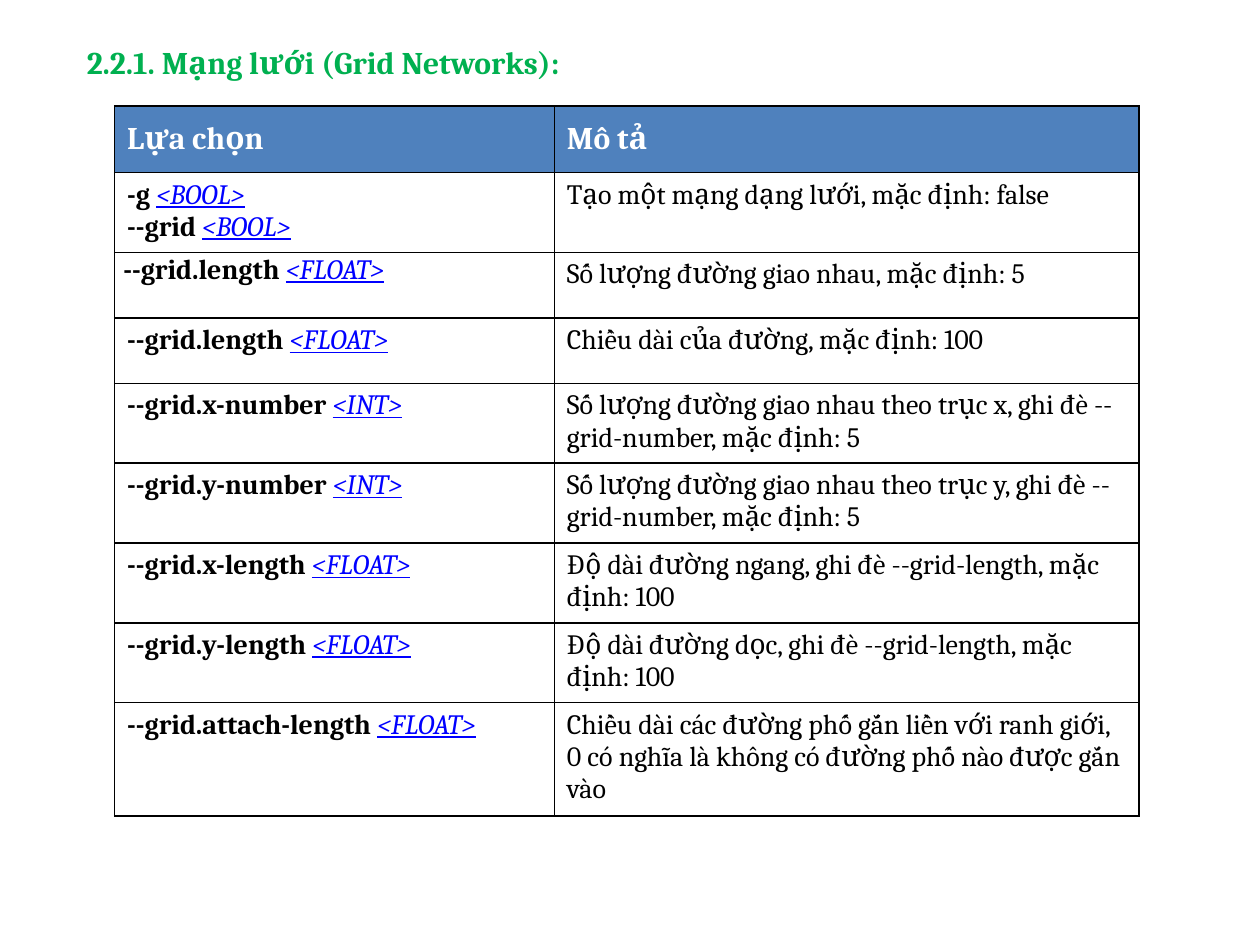
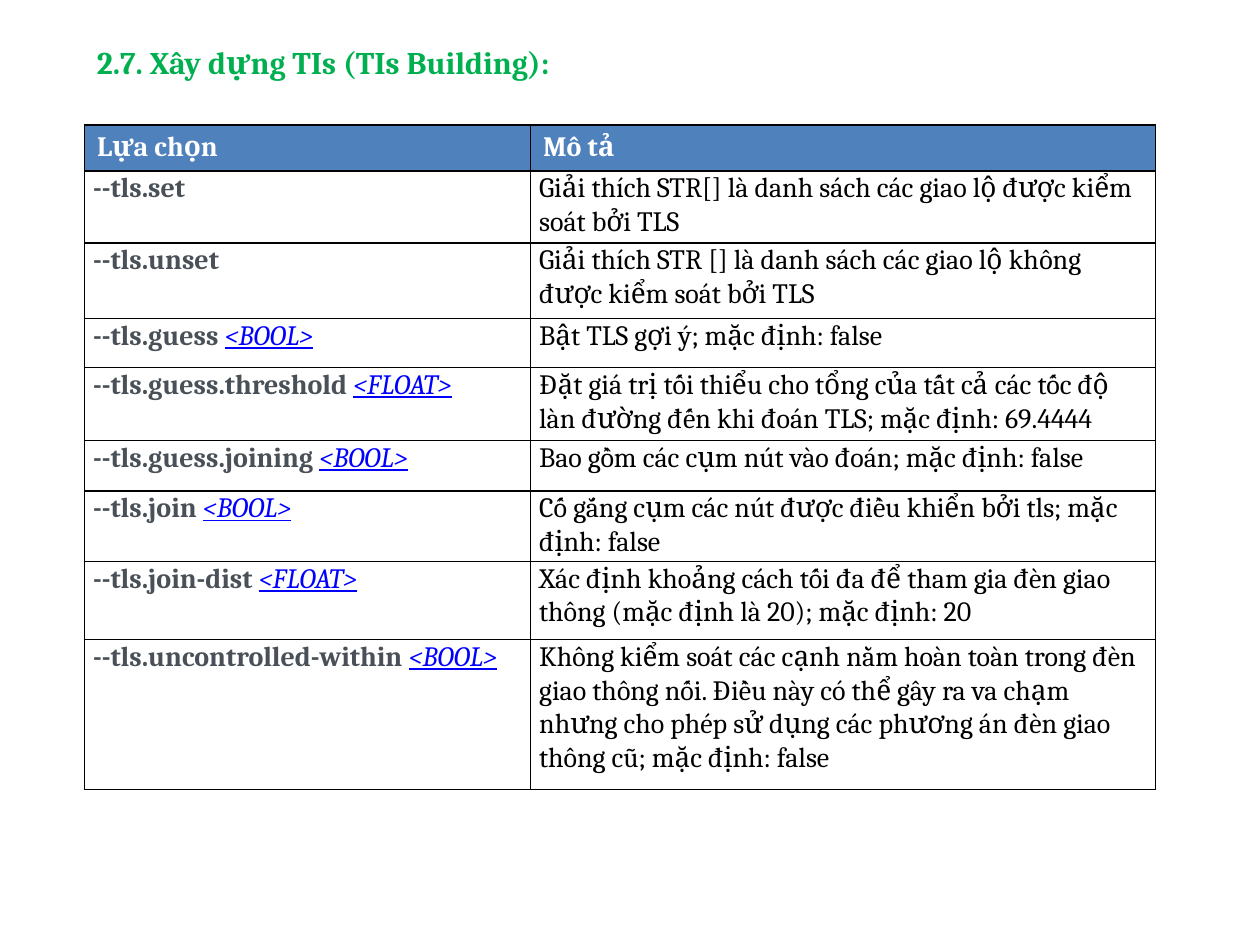
from dataclasses import dataclass

import lxml.etree
import pptx
import pptx.dml.color
import pptx.enum.text
import pptx.oxml.ns
import pptx.util

Inches = pptx.util.Inches
Pt = pptx.util.Pt
RGBColor = pptx.dml.color.RGBColor

GREEN = RGBColor(0x00, 0xB0, 0x50)
HEADER_BLUE = RGBColor(0x4F, 0x81, 0xBD)
LINK_BLUE = RGBColor(0x00, 0x00, 0xFF)
SLATE = RGBColor(0x49, 0x50, 0x57)
BLACK = RGBColor(0x00, 0x00, 0x00)
WHITE = RGBColor(0xFF, 0xFF, 0xFF)

FONT = "Cambria"
HEADINGS = ("Lựa chọn", "Mô tả")
TITLE_FORMAT = {"size": Pt(18), "bold": True}
BODY_FORMAT = {"size": Pt(16), "bold": False}
FLAG_FORMAT = {"size": Pt(16), "bold": True}
LINK_FORMAT = BODY_FORMAT | {"italic": True, "underline": True}
TIGHT_MARGINS = {
    "margin_left": Inches(0.07),
    "margin_top": Inches(0),
    "margin_right": Inches(0.07),
    "margin_bottom": Inches(0),
}
TIGHT_SPACING = {"line_spacing": 1.05, "space_after": Pt(8)}


@dataclass
class Option:
    flags: tuple[str, ...]
    value_type: str
    description: str
    tight_flag: bool = False
    tight_description: bool = False


@dataclass
class OptionSlide:
    title: str
    title_left: float
    title_width: float
    table_left: float
    table_top: float
    column_widths: tuple[float, float]
    row_heights: tuple[float, ...]
    heading_size: int
    heading_anchor: pptx.enum.text.MSO_ANCHOR
    flag_color: RGBColor
    options: list[Option]


def tls_option(flag: str, value_type: str, description: str) -> Option:
    return Option((flag,), value_type, description, True, True)


GRID_OPTIONS = [
    Option(("-g", "--grid"), "<BOOL>", "Tạo một mạng dạng lưới, mặc định: false"),
    Option(("--grid.length",), "<FLOAT>", "Số lượng đường giao nhau, mặc định: 5", tight_flag=True),
    Option(("--grid.length",), "<FLOAT>", "Chiều dài của đường, mặc định: 100"),
    Option(("--grid.x-number",), "<INT>",
           "Số lượng đường giao nhau theo trục x, ghi đè --grid-number, mặc định: 5"),
    Option(("--grid.y-number",), "<INT>",
           "Số lượng đường giao nhau theo trục y, ghi đè --grid-number, mặc định: 5"),
    Option(("--grid.x-length",), "<FLOAT>",
           "Độ dài đường ngang, ghi đè --grid-length, mặc định: 100"),
    Option(("--grid.y-length",), "<FLOAT>",
           "Độ dài đường dọc, ghi đè --grid-length, mặc định: 100"),
    Option(("--grid.attach-length",), "<FLOAT>",
           "Chiều dài các đường phố gắn liền với ranh giới, "
           "0 có nghĩa là không có đường phố nào được gắn vào"),
]

TLS_OPTIONS = [
    tls_option("--tls.set", "",
               "Giải thích STR[] là danh sách các giao lộ được kiểm soát bởi TLS"),
    tls_option("--tls.unset", "",
               "Giải thích STR [] là danh sách các giao lộ không được kiểm soát bởi TLS"),
    tls_option("--tls.guess", "<BOOL>", "Bật TLS gợi ý; mặc định: false"),
    tls_option("--tls.guess.threshold", "<FLOAT>",
               "Đặt giá trị tối thiểu cho tổng của tất cả các tốc độ làn đường "
               "đến khi đoán TLS; mặc định: 69.4444"),
    tls_option("--tls.guess.joining", "<BOOL>",
               "Bao gồm các cụm nút vào đoán; mặc định: false"),
    tls_option("--tls.join", "<BOOL>",
               "Cố gắng cụm các nút được điều khiển bởi tls; mặc định: false"),
    tls_option("--tls.join-dist", "<FLOAT>",
               "Xác định khoảng cách tối đa để tham gia đèn giao thông "
               "(mặc định là 20); mặc định: 20"),
    tls_option("--tls.uncontrolled-within", "<BOOL>",
               "Không kiểm soát các cạnh nằm hoàn toàn trong đèn giao thông nối. "
               "Điều này có thể gây ra va chạm nhưng cho phép sử dụng các "
               "phương án đèn giao thông cũ; mặc định: false"),
]

OPTION_SLIDES = [
    OptionSlide(
        "2.2.1. Mạng lưới (Grid Networks):", 0.59, 4.08, 0.91, 0.84, (3.49, 4.64),
        (0.53,) + (0.52,) * len(GRID_OPTIONS), 18,
        pptx.enum.text.MSO_ANCHOR.MIDDLE, BLACK, GRID_OPTIONS,
    ),
    OptionSlide(
        "2.7. Xây dựng TIs (TIs Building):", 0.67, 3.92, 0.67, 0.99, (3.54, 4.96),
        (0.31, 0.57, 0.6, 0.39, 0.58, 0.4, 0.55, 0.62, 1.19), 16,
        pptx.enum.text.MSO_ANCHOR.TOP, SLATE, TLS_OPTIONS,
    ),
]


def set_attributes(target: object, values: dict) -> None:
    for name, value in values.items():
        setattr(target, name, value)


def add_run(paragraph, text: str, color: RGBColor, font_format: dict) -> None:
    run = paragraph.add_run()
    run.text = text
    set_attributes(run.font, {"name": FONT} | font_format)
    run.font.color.rgb = color


def add_borders(cell) -> None:
    qn = pptx.oxml.ns.qn
    properties = cell._tc.get_or_add_tcPr()
    for index, side in enumerate(("lnL", "lnR", "lnT", "lnB")):
        line = lxml.etree.Element(qn(f"a:{side}"), w=str(Pt(1)))
        fill = lxml.etree.SubElement(line, qn("a:solidFill"))
        lxml.etree.SubElement(fill, qn("a:srgbClr"), val=str(BLACK))
        properties.insert(index, line)


def prepare_cell(cell, fill_color: RGBColor, tight: bool = False):
    cell.fill.solid()
    cell.fill.fore_color.rgb = fill_color
    add_borders(cell)
    paragraph = cell.text_frame.paragraphs[0]
    if tight:
        set_attributes(cell, TIGHT_MARGINS)
        set_attributes(paragraph, TIGHT_SPACING)
    return paragraph


def add_title(slide, content: OptionSlide) -> None:
    title = slide.shapes.add_textbox(
        Inches(content.title_left), Inches(0.29), Inches(content.title_width), Inches(0.4)
    )
    set_attributes(title.text_frame, {
        "word_wrap": False,
        "auto_size": pptx.enum.text.MSO_AUTO_SIZE.SHAPE_TO_FIT_TEXT,
    })
    add_run(title.text_frame.paragraphs[0], content.title, GREEN, TITLE_FORMAT)


def fill_option_row(table, row: int, option: Option, flag_color: RGBColor) -> None:
    paragraph = prepare_cell(table.cell(row, 0), WHITE, option.tight_flag)
    for index, flag in enumerate(option.flags):
        if index:
            paragraph.add_line_break()
        add_run(paragraph, f"{flag} " if option.value_type else flag, flag_color, FLAG_FORMAT)
        if option.value_type:
            add_run(paragraph, option.value_type, LINK_BLUE, LINK_FORMAT)
    paragraph = prepare_cell(table.cell(row, 1), WHITE, option.tight_description)
    add_run(paragraph, option.description, BLACK, BODY_FORMAT)


def add_option_table(slide, content: OptionSlide) -> None:
    table = slide.shapes.add_table(
        len(content.row_heights), len(HEADINGS),
        Inches(content.table_left), Inches(content.table_top),
        Inches(sum(content.column_widths)), Inches(sum(content.row_heights)),
    ).table
    table.horz_banding = False
    for column, width in zip(table.columns, content.column_widths):
        column.width = Inches(width)
    for row, height in zip(table.rows, content.row_heights):
        row.height = Inches(height)
    for column, heading in enumerate(HEADINGS):
        cell = table.cell(0, column)
        cell.vertical_anchor = content.heading_anchor
        heading_format = {"size": Pt(content.heading_size), "bold": True}
        add_run(prepare_cell(cell, HEADER_BLUE), heading, WHITE, heading_format)
    for row, option in enumerate(content.options, start=1):
        fill_option_row(table, row, option, content.flag_color)


def main() -> None:
    presentation = pptx.Presentation()
    set_attributes(presentation, {"slide_width": Inches(10), "slide_height": Inches(7.5)})
    for content in OPTION_SLIDES:
        slide = presentation.slides.add_slide(presentation.slide_layouts[6])
        add_title(slide, content)
        add_option_table(slide, content)
    presentation.save("out.pptx")


if __name__ == "__main__":
    main()
